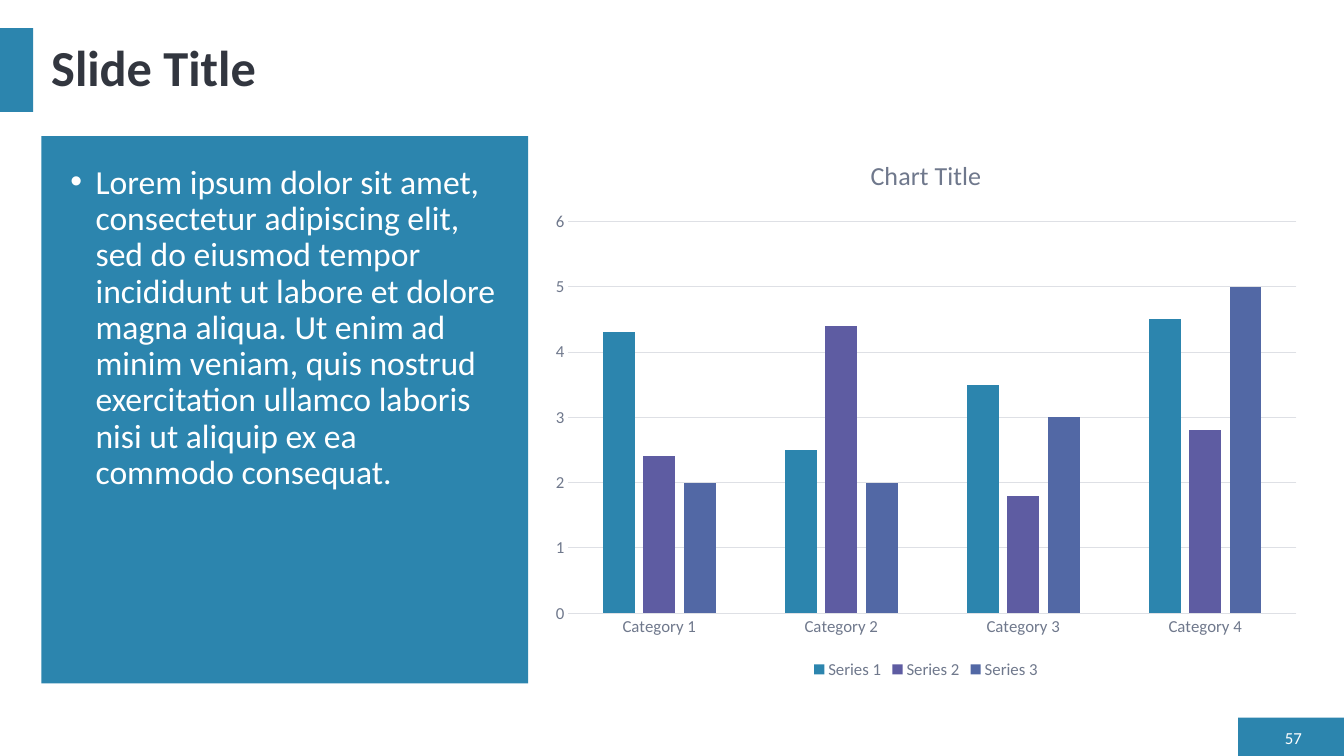
from dataclasses import dataclass

import pptx
import pptx.chart.data
import pptx.dml.color
import pptx.enum.chart
import pptx.enum.shapes
import pptx.enum.text
import pptx.oxml
import pptx.oxml.ns
import pptx.util
from pptx.util import Inches

RGBColor = pptx.dml.color.RGBColor
Align = pptx.enum.text.PP_ALIGN
Anchor = pptx.enum.text.MSO_ANCHOR

TEAL = RGBColor(0x2C, 0x85, 0xAE)
PURPLE = RGBColor(0x5E, 0x5C, 0xA2)
INDIGO = RGBColor(0x52, 0x68, 0xA5)
WHITE = RGBColor(0xFF, 0xFF, 0xFF)
INK = RGBColor(0x32, 0x36, 0x3F)
SLATE = RGBColor(0x6F, 0x78, 0x8C)
PALE = RGBColor(0xDE, 0xE0, 0xE5)
FONT = "Calibri"


@dataclass
class Box:
    left: float
    top: float
    width: float
    height: float

    def lengths(self) -> list:
        return [Inches(v) for v in (self.left, self.top, self.width, self.height)]


@dataclass
class Series:
    name: str
    values: tuple
    color: RGBColor


PANELS = [
    Box(12.28, 7.12, 1.05, 0.38),  # page number tab
    Box(0, 0.28, 0.33, 0.83),  # title marker
    Box(0.41, 1.35, 4.83, 5.43),  # body background
]
CATEGORIES = [f"Category {n}" for n in range(1, 5)]
SERIES = [
    Series("Series 1", (4.3, 2.5, 3.5, 4.5), TEAL),
    Series("Series 2", (2.4, 4.4, 1.8, 2.8), PURPLE),
    Series("Series 3", (2, 2, 3, 5), INDIGO),
]
BODY = (
    "Lorem ipsum dolor sit amet, consectetur adipiscing elit, sed do eiusmod "
    "tempor incididunt ut labore et dolore magna aliqua. Ut enim ad minim veniam, "
    "quis nostrud exercitation ullamco laboris nisi ut aliquip ex ea commodo consequat."
)


def style_font(font, size: float, color: RGBColor, bold: bool = False) -> None:
    font.name = FONT
    font.size = pptx.util.Pt(size)
    font.bold = bold
    font.color.rgb = color


def add_panel(slide, box: Box) -> None:
    panel = slide.shapes.add_shape(
        pptx.enum.shapes.MSO_SHAPE.RECTANGLE, *box.lengths())
    panel.shadow.inherit = False
    panel.fill.solid()
    panel.fill.fore_color.rgb = TEAL
    panel.line.fill.background()


def add_text(slide, text: str, box: Box, *, size: float, color: RGBColor,
             bold: bool = False, align=Align.LEFT, anchor=Anchor.MIDDLE,
             line_spacing: float = 1.0, space_before: float = 0,
             bullet: bool = False) -> None:
    frame = slide.shapes.add_textbox(*box.lengths()).text_frame
    frame.word_wrap = True
    frame.vertical_anchor = anchor
    paragraph = frame.paragraphs[0]
    paragraph.alignment = align
    paragraph.line_spacing = line_spacing
    paragraph.space_before = pptx.util.Pt(space_before)
    run = paragraph.add_run()
    run.text = text
    style_font(run.font, size, color, bold)
    if bullet:
        properties = paragraph._p.get_or_add_pPr()
        properties.set("marL", str(Inches(0.25)))
        properties.set("indent", str(Inches(-0.25)))
        namespace = pptx.oxml.ns.nsdecls("a")
        for mark in ('buFont {} typeface="Arial"', 'buChar {} char="•"'):
            properties.append(pptx.oxml.parse_xml(f"<a:{mark.format(namespace)}/>"))


def add_column_chart(slide, box: Box) -> None:
    data = pptx.chart.data.CategoryChartData()
    data.categories = CATEGORIES
    for series in SERIES:
        data.add_series(series.name, series.values)
    chart = slide.shapes.add_chart(
        pptx.enum.chart.XL_CHART_TYPE.COLUMN_CLUSTERED, *box.lengths(), data).chart
    style_font(chart.font, 12, SLATE)

    chart.has_title = True
    chart.chart_title.include_in_layout = False
    title = chart.chart_title.text_frame
    title.text = "Chart Title"
    style_font(title.paragraphs[0].runs[0].font, 18.6, SLATE)

    chart.has_legend = True
    chart.legend.position = pptx.enum.chart.XL_LEGEND_POSITION.BOTTOM
    chart.legend.include_in_layout = False
    style_font(chart.legend.font, 12, SLATE)

    plot = chart.plots[0]
    plot.gap_width = 219
    plot.overlap = -27
    plot.vary_by_categories = False
    for column, series in zip(plot.series, SERIES):
        column.format.fill.solid()
        column.format.fill.fore_color.rgb = series.color
        column.invert_if_negative = False

    no_tick = pptx.enum.chart.XL_TICK_MARK.NONE
    for axis in (chart.category_axis, chart.value_axis):
        axis.major_tick_mark = axis.minor_tick_mark = no_tick
        style_font(axis.tick_labels.font, 12, SLATE)
    chart.value_axis.minimum_scale = 0
    chart.value_axis.maximum_scale = 6
    chart.value_axis.major_unit = 1
    chart.value_axis.format.line.fill.background()
    for line in (chart.category_axis.format.line,
                 chart.value_axis.major_gridlines.format.line):
        line.color.rgb = PALE
        line.width = pptx.util.Pt(0.75)


def main() -> None:
    deck = pptx.Presentation()
    deck.slide_width, deck.slide_height = Inches(13.33), Inches(7.5)
    slide = deck.slides.add_slide(deck.slide_layouts[6])
    for panel in PANELS:
        add_panel(slide, panel)
    add_text(slide, "Slide Title", Box(0.41, 0.28, 12.6, 0.83),
             size=36, color=INK, bold=True, line_spacing=0.9)
    add_text(slide, "57", Box(12.6, 7.2, 0.41, 0.23),
             size=12, color=WHITE, align=Align.RIGHT)
    add_column_chart(slide, Box(5.36, 1.35, 7.65, 5.43))
    add_text(slide, BODY, Box(0.6, 1.59, 4.45, 4.98), size=24, color=WHITE,
             anchor=Anchor.TOP, line_spacing=0.9, space_before=10, bullet=True)
    deck.save("out.pptx")


if __name__ == "__main__":
    main()
